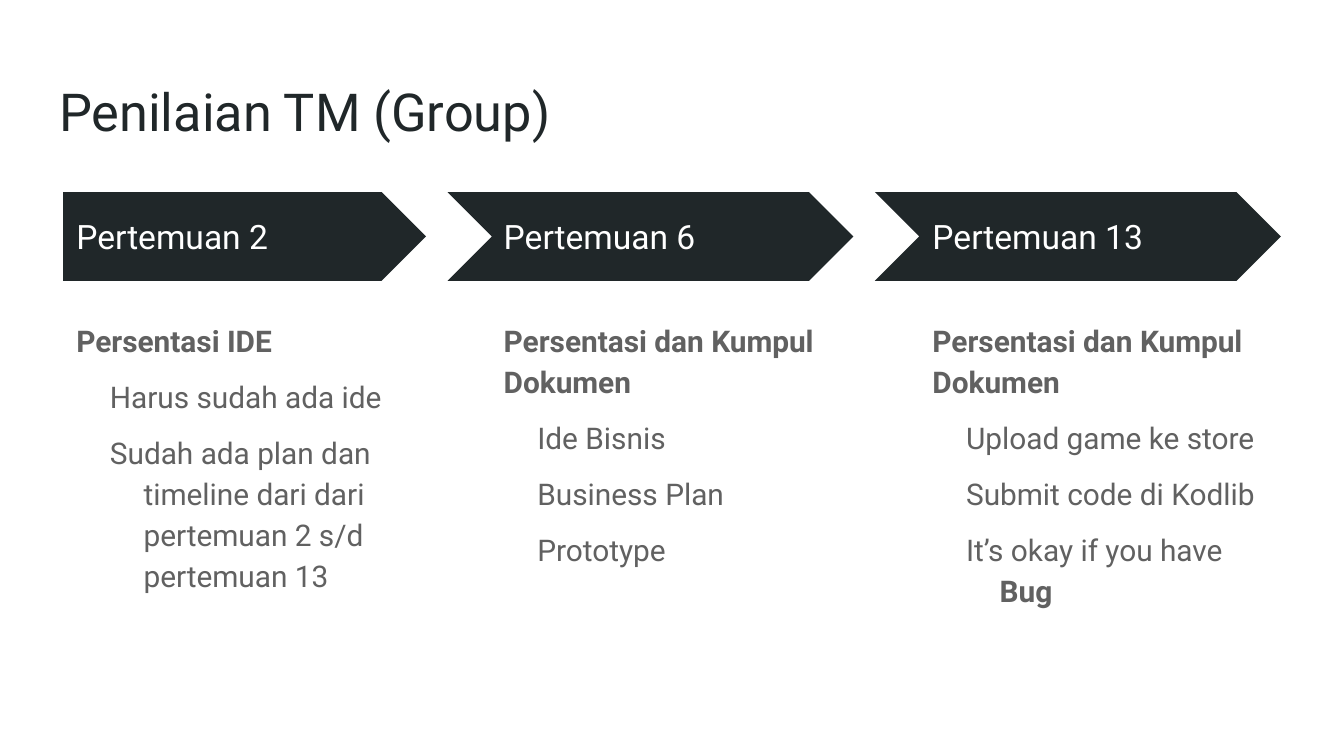
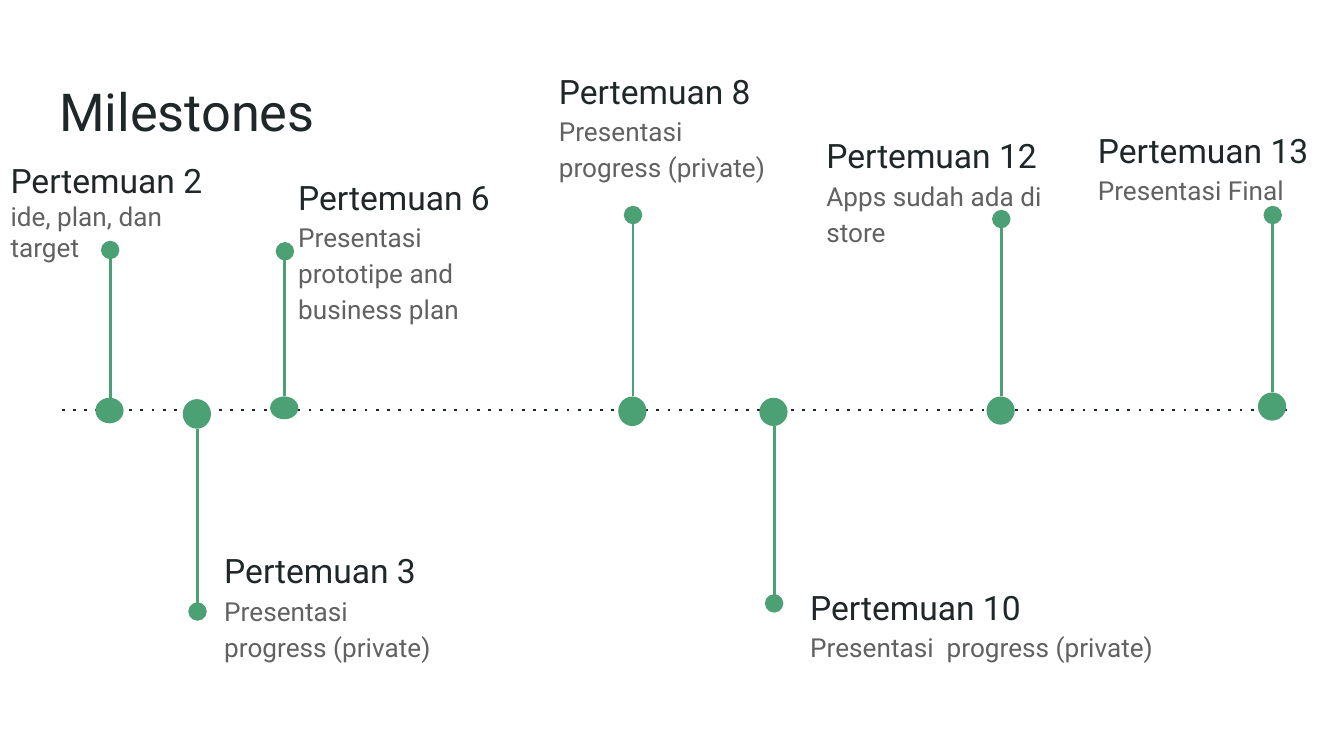
from dataclasses import dataclass

from lxml import etree
from pptx import Presentation
from pptx import util as u
from pptx.dml.color import RGBColor
from pptx.enum import shapes as es, text as et
from pptx.oxml.ns import qn

PX = 9144
WIDE = 1000 * PX
HIGH = WIDE * 9 // 16


@dataclass(frozen=True)
class Theme:
    """Colours, font and type sizes shared by the slides."""
    font: str = "Roboto"
    ink: str = "202729"
    grey: str = "616161"
    green: str = "4BA173"
    white: str = "FFFFFF"
    title: int = 28
    head: int = 18
    body: int = 16
    note: int = 14
    line: float = 1.5


T = Theme()

STEPS = [
    ("Pertemuan 2", "Persentasi IDE",
     [[("Harus sudah ada ide", False)],
      [("Sudah ada plan dan timeline dari dari pertemuan 2 s/d pertemuan 13", False)]]),
    ("Pertemuan 6", "Persentasi dan Kumpul Dokumen",
     [[("Ide Bisnis", False)], [("Business Plan", False)], [("Prototype", False)]]),
    ("Pertemuan 13", "Persentasi dan Kumpul Dokumen",
     [[("Upload game ke store", False)], [("Submit code di Kodlib", False)],
      [("It’s okay if you have ", False), ("Bug", True)]]),
]

STONES = [
    ("Pertemuan 2", "ide, plan, dan target", (-2, 109, 185), (82, 296, 19, 186), 1.0),
    ("Pertemuan 3", "Presentasi  progress (private)", (157, 395, 178), (147, 297, 22, 455), 1.15),
    ("Pertemuan 8", "Presentasi  progress (private)", (406, 38, 178), (471, 295, 22, 160), 1.15),
    ("Pertemuan 10", "Presentasi  progress (private)", (593, 422, 291), (576, 296, 21, 449), 1.15),
    ("Pertemuan 13", "Presentasi Final", (807, 82, 291), (947, 292, 21, 160), 1.15),
    ("Pertemuan 6", "Presentasi  prototipe and business plan", (212, 117, 199), (212, 295, 17, 187), 1.15),
    ("Pertemuan 12", "Apps sudah ada di store", (605, 86, 185), (745, 295, 21, 163), 1.15),
]


def style(obj, **vals):
    """Set each given attribute on an object."""
    for key, val in vals.items():
        setattr(obj, key, val)


def box(at):
    """Turn px lengths into EMU."""
    return [n * PX for n in at]


def frame(shape, anchor=et.MSO_ANCHOR.TOP):
    """Give a text frame the shared insets and return it."""
    tf = shape.text_frame
    edges = dict.fromkeys(
        ("margin_left", "margin_top", "margin_right", "margin_bottom"), 10 * PX)
    style(tf, word_wrap=True, auto_size=et.MSO_AUTO_SIZE.NONE,
          vertical_anchor=anchor, **edges)
    return tf


def write(para, runs, size, color, hang=False, **fmt):
    """Fill a paragraph with (text, bold) runs."""
    if hang:
        props = para._p.get_or_add_pPr()
        props.set("marL", str(50 * PX))
        props.set("indent", str(-25 * PX))
    style(para, alignment=et.PP_ALIGN.LEFT, **fmt)
    for words, bold in runs:
        run = para.add_run()
        run.text = words
        style(run.font, name=T.font, size=u.Pt(size), bold=bold)
        run.font.color.rgb = RGBColor.from_string(color)


def label(slide, at, anchor=et.MSO_ANCHOR.TOP):
    """Add an empty text box and return its frame."""
    return frame(slide.shapes.add_textbox(*box(at)), anchor)


def block(slide, kind, at, color):
    """Add a plain filled preset shape."""
    shape = slide.shapes.add_shape(kind, *box(at))
    shape.shadow.inherit = False
    shape.fill.solid()
    shape.fill.fore_color.rgb = RGBColor.from_string(color)
    shape.line.fill.background()


def rule(slide, ends, color, tag, **attrs):
    """Add a straight line with one dash or end mark."""
    line = slide.shapes.add_connector(es.MSO_CONNECTOR.STRAIGHT, *box(ends))
    line.line.color.rgb = RGBColor.from_string(color)
    line.line.width = u.Pt(T.line)
    etree.SubElement(line.line._get_or_add_ln(), qn(tag), **attrs)
    etree.SubElement(line._element.spPr, qn("a:effectLst"))


def page(deck, name):
    """Add a slide with its title."""
    slide = deck.slides.add_slide(deck.slide_layouts[5])
    title = slide.shapes.title
    style(title, **dict(zip(("left", "top", "width", "height"), box((34, 49, 932, 63)))))
    write(frame(title).paragraphs[0], [(name, False)], T.title, T.ink)
    return slide


def step(slide, num, name, lead, items):
    """Add one arrow with its heading and list."""
    left = 47 + num * 637 // 2
    if num:
        block(slide, es.MSO_SHAPE.CHEVRON, (15 + num * 318, 143, 302, 66), T.ink)
    else:
        block(slide, es.MSO_SHAPE.PENTAGON, (left, 143, 270, 66), T.ink)
    head = label(slide, (left, 159, 247, 34), et.MSO_ANCHOR.MIDDLE)
    write(head.paragraphs[0], [(name, False)], T.head, T.white)
    body = label(slide, (left, 226, 270, 290))
    fmt = {"line_spacing": 1.15, "space_after": u.Pt(8)}
    write(body.paragraphs[0], [(lead, True)], T.body, T.grey, **fmt)
    for runs in items:
        write(body.add_paragraph(), runs, T.body, T.grey, hang=True, **fmt)


def stone(slide, name, note, spot, pin, space):
    """Add one milestone: ball, stem and label."""
    mid, top, high, tip = pin
    start = top if tip < top else top + high
    rule(slide, (mid, start, mid, tip), T.green, "a:tailEnd",
         type="oval", w="lg", len="lg")
    block(slide, es.MSO_SHAPE.OVAL, (mid - 11, top, 21, high), T.green)
    body = label(slide, (*spot, 106))
    write(body.paragraphs[0], [(name, False)], T.head, T.ink, line_spacing=space)
    write(body.add_paragraph(), [(note, False)], T.note, T.grey,
          line_spacing=space, space_after=u.Pt(16))


def main():
    """Build and save the deck."""
    deck = Presentation()
    style(deck, slide_width=WIDE, slide_height=HIGH)
    slide = page(deck, "Penilaian TM (Group)")
    for num, data in enumerate(STEPS):
        step(slide, num, *data)
    slide = page(deck, "Milestones")
    rule(slide, (46, 305, 958, 305), T.ink, "a:prstDash", val="dot")
    for data in STONES:
        stone(slide, *data)
    deck.save("out.pptx")


if __name__ == "__main__":
    main()
